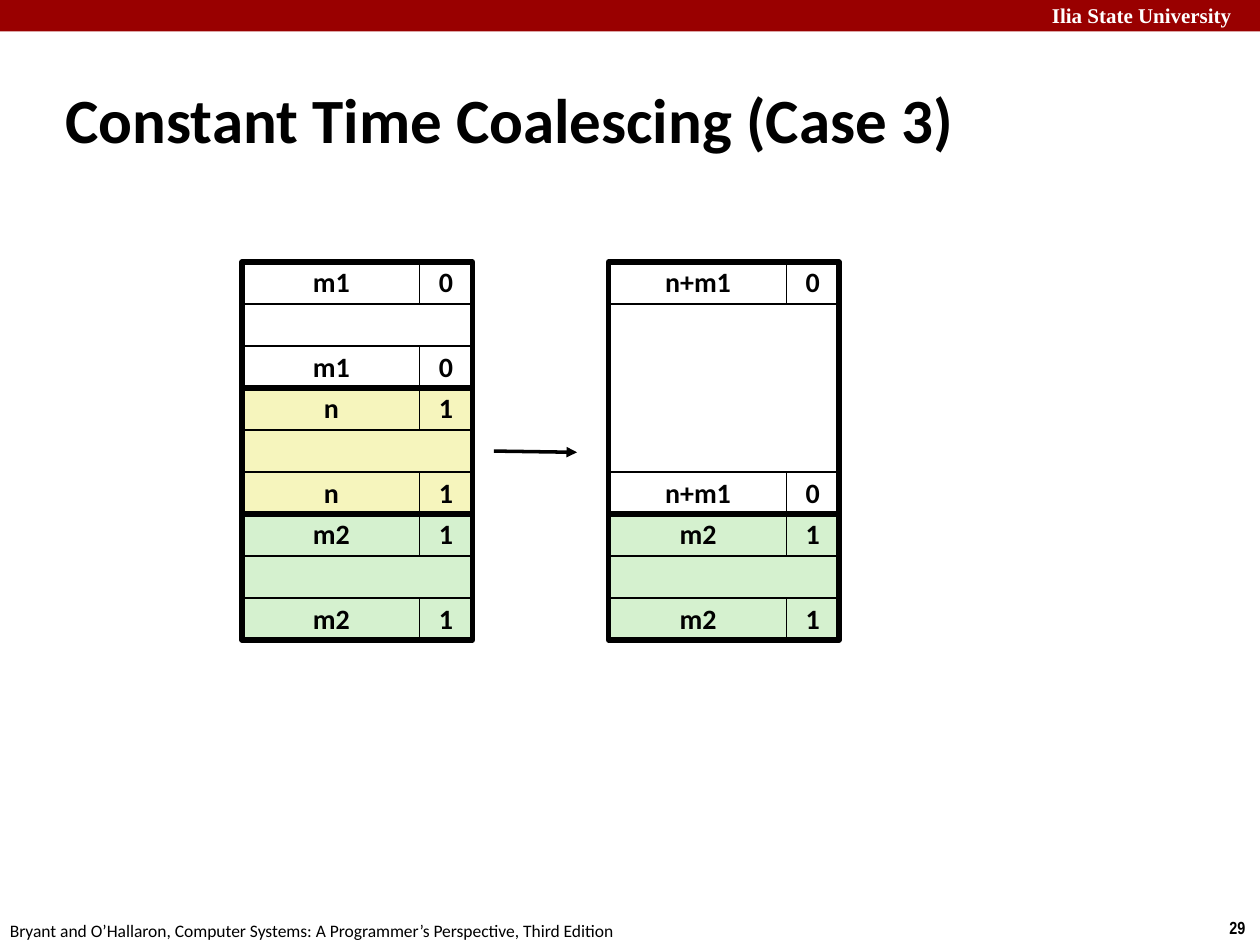
from lxml import etree
from pptx import Presentation
from pptx import util as u
from pptx.dml.color import RGBColor
from pptx.enum import shapes, text
from pptx.oxml.ns import qn

COLORS = {"banner": "990000", "ink": "000000", "free": "FFFFFF",
          "current": "F6F5BD", "allocated": "D5F1CF"}
ROW, SIZE_WIDTH, FLAG_WIDTH = 1 / 3, 1.42, 0.42
BLOCK_WIDTH = 1.83
TOP = 2.08


def style_text(frame, size, font="Calibri", color="ink", bold=True):
    for run in frame.paragraphs[0].runs:
        run.font.size = u.Pt(size)
        run.font.name = font
        run.font.bold = bold
        run.font.color.rgb = RGBColor.from_string(COLORS[color])


def add_box(left, top, width, height, fill=None, line=0.75, label=""):
    box = slide.shapes.add_shape(
        shapes.MSO_SHAPE.RECTANGLE, u.Inches(left), u.Inches(top),
        u.Inches(width), u.Inches(height))
    box.shadow.inherit = False
    if fill:
        box.fill.solid()
        box.fill.fore_color.rgb = RGBColor.from_string(COLORS[fill])
    else:
        box.fill.background()
    if line:
        box.line.color.rgb = RGBColor.from_string(COLORS["ink"])
        box.line.width = u.Pt(line)
    else:
        box.line.fill.background()
    if label:
        frame = box.text_frame
        frame.text = label
        frame.vertical_anchor = text.MSO_ANCHOR.MIDDLE
        frame.paragraphs[0].alignment = text.PP_ALIGN.CENTER
        frame.paragraphs[0].line_spacing = 0.98
        style_text(frame, 16)
    return box


deck = Presentation()
deck.slide_width, deck.slide_height = u.Inches(10), u.Inches(7.5)
slide = deck.slides.add_slide(deck.slide_layouts[5])

add_box(0, 0, 10, 0.25, "banner", line=0)

margin_notes = [
    ("Ilia State University", 8.25, -0.03, 1.82, 0.3, 12, "Times New Roman", "free", True),
    ("29", 9.66, 7.23, 0.34, 0.27, 10, "Arial Narrow", "ink", True),
    ("Bryant and O’Hallaron, Computer Systems: A Programmer’s Perspective, Third Edition",
     -0.02, 7.25, 5.08, 0.27, 10, "Calibri", "ink", False),
]
for wording, left, top, width, height, size, font, color, bold in margin_notes:
    note = slide.shapes.add_textbox(
        u.Inches(left), u.Inches(top), u.Inches(width), u.Inches(height))
    note.text_frame.word_wrap = False
    note.text_frame.text = wording
    style_text(note.text_frame, size, font, color, bold)

title = slide.shapes.title
title.left, title.top = u.Inches(0.42), u.Inches(0.62)
title.width, title.height = u.Inches(9.17), u.Inches(0.63)
title.text_frame.text = "Constant Time Coalescing (Case 3)"
title.text_frame.auto_size = text.MSO_AUTO_SIZE.NONE
title.text_frame.vertical_anchor = text.MSO_ANCHOR.MIDDLE
title.text_frame.paragraphs[0].alignment = text.PP_ALIGN.LEFT
style_text(title.text_frame, 36)

heaps = [
    (1.92, [("m1", "0", 3, "free"), ("n", "1", 3, "current"), ("m2", "1", 3, "allocated")]),
    (4.83, [("n+m1", "0", 6, "free"), ("m2", "1", 3, "allocated")]),
]
for left, blocks in heaps:
    block_top = TOP
    for size_label, flag, rows, state in blocks:
        footer_top = block_top + (rows - 1) * ROW
        add_box(left, block_top + ROW, BLOCK_WIDTH, (rows - 2) * ROW, state)
        for tag_top in (block_top, footer_top):
            add_box(left, tag_top, SIZE_WIDTH, ROW, state, label=size_label)
            add_box(left + BLOCK_WIDTH - FLAG_WIDTH, tag_top, FLAG_WIDTH, ROW, state, label=flag)
        block_top += rows * ROW
    block_top = TOP
    for _, _, rows, _ in blocks:
        add_box(left, block_top, BLOCK_WIDTH, rows * ROW, line=3)
        block_top += rows * ROW

coalesce = slide.shapes.add_connector(
    shapes.MSO_CONNECTOR.STRAIGHT, u.Inches(3.92), u.Inches(3.58),
    u.Inches(4.58), u.Inches(3.59))
coalesce.line.color.rgb = RGBColor.from_string(COLORS["ink"])
coalesce.line.width = u.Pt(2)
etree.SubElement(coalesce.line._get_or_add_ln(), qn("a:tailEnd"), type="triangle")
etree.SubElement(coalesce._element.spPr, qn("a:effectLst"))

deck.save("out.pptx")
